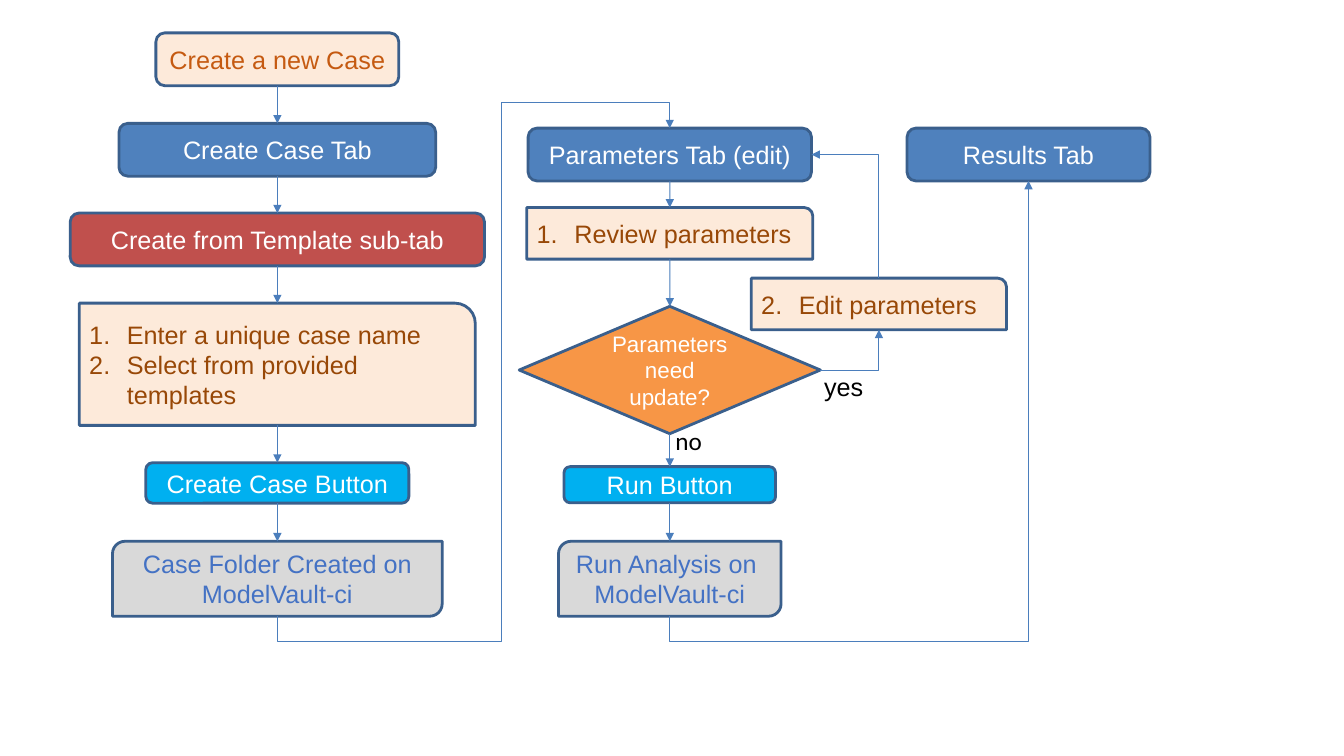
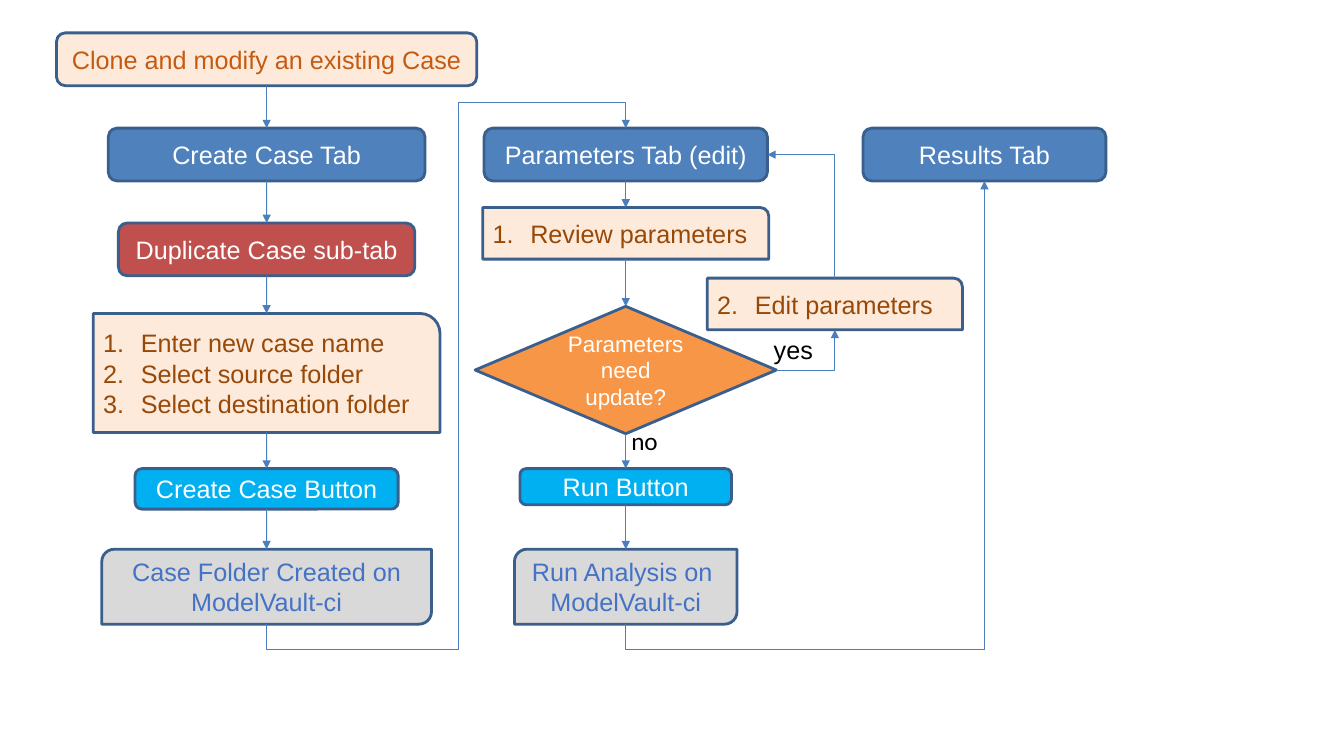
import itertools
import lxml.etree
import pptx
import pptx.dml.color
import pptx.enum.shapes
import pptx.enum.text
import pptx.oxml.ns
import pptx.util

Cm, Pt = pptx.util.Cm, pptx.util.Pt
qn = pptx.oxml.ns.qn
FORM = pptx.enum.shapes.MSO_SHAPE
ALIGN = pptx.enum.text.PP_ALIGN
MID = pptx.enum.text.MSO_ANCHOR.MIDDLE


class Theme:
    font, note = "Arial", "Calibri"
    size, small = 18, 16
    edge, wire, ink = "3A5F8C", "4B7EBC", "000000"
    bold_line, thin_line = 2, 0.75
    # kind: preset shape, fill, text colour
    kinds = {
        "start": (FORM.ROUNDED_RECTANGLE, "FDEADA", "C55A11"),
        "tab": (FORM.ROUNDED_RECTANGLE, "4F81BD", "FFFFFF"),
        "sub": (FORM.ROUNDED_RECTANGLE, "C0504D", "FFFFFF"),
        "button": (FORM.ROUNDED_RECTANGLE, "00B0F0", "FFFFFF"),
        "steps": (FORM.ROUND_1_RECTANGLE, "FDEADA", "984807"),
        "test": (FORM.DIAMOND, "F79646", "FFFFFF"),
        "result": (FORM.ROUND_2_DIAG_RECTANGLE, "D9D9D9", "4472C4"),
    }


# Content: each node is kind, lines, top, width, height (cm)
HIGH = 1.33
TAB_TOP = 3.23
DROP = 0.64
EDIT_GAP, DONE_GAP = 5.27, 9.04
FOLDER = ["Case Folder Created on", "ModelVault-ci"]
RUN = ["Run Analysis on ", "ModelVault-ci"]

FLOWS = [
    dict(
        left=6.99, right=16.88, lane=12.64, run=11.76, end=13.64,
        yes=(20.52, 9.22),
        nodes=[
            ("start", ["Create a new Case"], 0.83, 6.12, HIGH),
            ("tab", ["Create Case Tab"], 3.11, 7.98, HIGH),
            ("sub", ["Create from Template sub-tab"], 5.37, 10.44, HIGH),
            ("steps", ["Enter a unique case name",
                       "Select from provided templates"], 7.64, 9.98, 3.08),
            ("button", ["Create Case Button"], 11.66, 6.63, 1.02),
            ("result", FOLDER, 13.64, 8.31, 1.89),
        ],
    ),
    dict(
        left=6.72, right=15.77, lane=11.56, run=11.81, end=13.84,
        yes=(19.25, 8.31),
        nodes=[
            ("start", ["Clone and modify an existing Case"], 0.83, 10.59, HIGH),
            ("tab", ["Create Case Tab"], TAB_TOP, 7.98, HIGH),
            ("sub", ["Duplicate Case sub-tab"], 5.62, 7.47, HIGH),
            ("steps", ["Enter new case name", "Select source folder",
                       "Select destination folder"], 7.9, 8.74, 3),
            ("button", ["Create Case Button"], 11.81, 6.63, 1.02),
            ("result", FOLDER, 13.84, 8.31, 1.89),
        ],
    ),
]


def run_nodes(flow):
    return [
        ("tab", ["Parameters Tab (edit)"], TAB_TOP, 7.14, HIGH),
        ("steps", ["Review parameters"], 5.23, 7.21, 1.3),
        ("test", ["Parameters need update?"], 7.72, 7.59, 3.21),
        ("button", ["Run Button"], flow["run"], 5.33, 0.91),
        ("result", RUN, flow["end"], 5.61, 1.89),
    ]


def rgb(code):
    return pptx.dml.color.RGBColor.from_string(code)


# Text
def write(frame, lines, color=Theme.ink, size=Theme.size, font=Theme.font,
          align=ALIGN.LEFT, first=None):
    """Fill a text frame; first is the number the list starts at."""
    frame.word_wrap = True
    frame.text = "\n".join(lines)
    for para in frame.paragraphs:
        para.alignment = align
        face = para.runs[0].font
        face.name, face.size, face.color.rgb = font, Pt(size), rgb(color)
        if first:
            props = para._p.get_or_add_pPr()
            props.set("marL", str(Cm(0.95)))
            props.set("indent", str(-Cm(0.95)))
            mark = lxml.etree.SubElement(props, qn("a:buAutoNum"))
            mark.set("type", "arabicPeriod")
            if first > 1:
                mark.set("startAt", str(first))


# Boxes
def box(slide, mid, node, first=1):
    kind, lines, top, wide, high = node
    form, fill, ink = Theme.kinds[kind]
    shape = slide.shapes.add_shape(
        form, Cm(mid - wide / 2), Cm(top), Cm(wide), Cm(high))
    shape.shadow.inherit = False
    shape.fill.solid()
    shape.fill.fore_color.rgb = rgb(fill)
    shape.line.color.rgb = rgb(Theme.edge)
    shape.line.width = Pt(Theme.bold_line)
    shape.text_frame.vertical_anchor = MID
    steps = kind == "steps"
    write(shape.text_frame, lines, color=ink,
          size=Theme.small if kind == "test" else Theme.size,
          align=ALIGN.LEFT if steps else ALIGN.CENTER,
          first=first if steps else None)
    return shape


def label(slide, text, left, top, font=Theme.font):
    area = slide.shapes.add_textbox(Cm(left), Cm(top), Cm(1.57), Cm(1.02))
    write(area.text_frame, [text], font=font)


# Arrows
def point(shape, side):
    """Middle of one side of a shape: t, b, l or r."""
    across = {"l": 0, "r": 1}.get(side, 0.5)
    down = {"t": 0, "b": 1}.get(side, 0.5)
    return (int(shape.left + shape.width * across),
            int(shape.top + shape.height * down))


def tip(wire):
    wire.line.color.rgb = rgb(Theme.wire)
    wire.line.width = Pt(Theme.thin_line)
    props = wire._element.spPr
    end = lxml.etree.SubElement(props.find(qn("a:ln")), qn("a:tailEnd"))
    end.set("type", "triangle")
    lxml.etree.SubElement(props, qn("a:effectLst"))


def link(slide, top, low):
    wire = slide.shapes.add_connector(
        pptx.enum.shapes.MSO_CONNECTOR.STRAIGHT,
        *point(top, "b"), *point(low, "t"))
    wire.begin_connect(top, 2)
    # The diagonal box numbers its sites in another order
    if low.auto_shape_type != FORM.ROUND_2_DIAG_RECTANGLE:
        wire.end_connect(low, 0)
    tip(wire)


def route(slide, *spots):
    pen = slide.shapes.build_freeform(*spots[0])
    pen.add_line_segments(spots[1:], close=False)
    wire = pen.convert_to_shape()
    wire.fill.background()
    tip(wire)


def column(slide, mid, nodes):
    boxes = [box(slide, mid, node) for node in nodes]
    for top, low in itertools.pairwise(boxes):
        link(slide, top, low)
    return boxes


def draw(slide, flow):
    mid = flow["right"]
    made = column(slide, flow["left"], flow["nodes"])
    tab, _, test, _, run = column(slide, mid, run_nodes(flow))
    edit = box(slide, mid + EDIT_GAP,
               ("steps", ["Edit parameters"], 7.01, 6.43, 1.3), first=2)
    done = box(slide, mid + DONE_GAP,
               ("tab", ["Results Tab"], TAB_TOP, 6.12, HIGH))

    # Case folder to parameters
    out, goal = point(made[-1], "b"), point(tab, "t")
    low, high, lane = out[1] + Cm(DROP), goal[1] - Cm(DROP), Cm(flow["lane"])
    route(slide, out, (out[0], low), (lane, low), (lane, high),
          (goal[0], high), goal)

    # Analysis to results
    out, goal = point(run, "b"), point(done, "b")
    low = out[1] + Cm(DROP)
    route(slide, out, (out[0], low), (goal[0], low), goal)

    # Update loop
    out, goal = point(test, "r"), point(edit, "b")
    route(slide, out, (goal[0], out[1]), goal)
    out, goal = point(edit, "t"), point(tab, "r")
    route(slide, out, (out[0], goal[1]), goal)

    label(slide, "no", mid - 0.11, 10.59, font=Theme.note)
    label(slide, "yes", *flow["yes"])


def main():
    deck = pptx.Presentation()
    deck.slide_width, deck.slide_height = Cm(33.87), Cm(19.05)
    for flow in FLOWS:
        draw(deck.slides.add_slide(deck.slide_layouts[6]), flow)
    deck.save("out.pptx")


if __name__ == "__main__":
    main()
